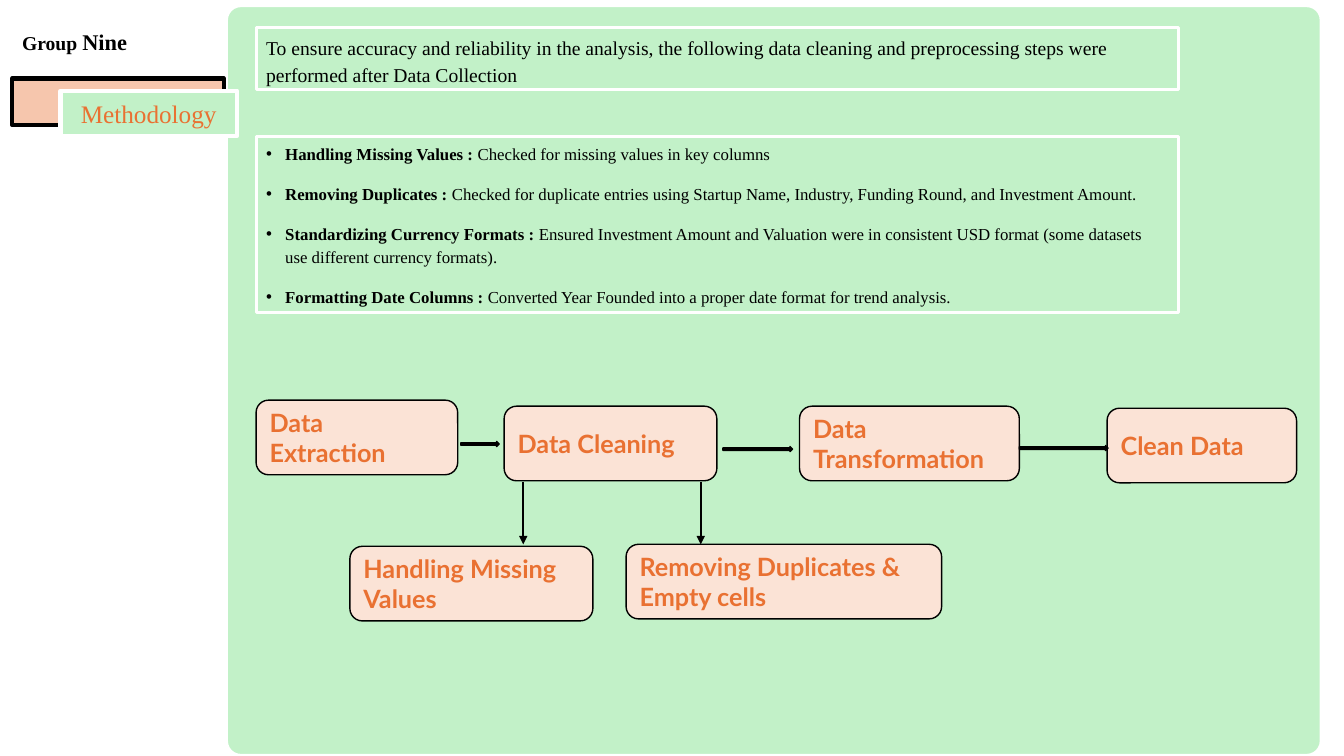
from dataclasses import dataclass
from lxml.etree import SubElement as Sub
from pptx import Presentation
from pptx.dml.color import RGBColor as Rgb
from pptx.enum.shapes import MSO_CONNECTOR as Conn, MSO_SHAPE as Form
from pptx.enum.text import MSO_ANCHOR as Anchor, PP_ALIGN as Align
from pptx.oxml.ns import qn
from pptx.util import Pt

PX = 9144


@dataclass(frozen=True)
class Theme:
    black: str = "000000"
    white: str = "FFFFFF"
    mint: str = "C2F1C8"
    salmon: str = "F6C6AD"
    peach: str = "FBE3D6"
    orange: str = "E97132"
    serif: str = "Times New Roman"
    sans: str = "Lato"
    head: int = 18
    name: int = 16
    lead: int = 14
    body: int = 12


class Deck:
    """Draws styled elements on the current slide."""

    def __init__(self, theme):
        self.theme = theme
        self.prs = Presentation()
        self.prs.slide_width, self.prs.slide_height = 1333 * PX, 750 * PX
        self.slide = self.prs.slides.add_slide(self.prs.slide_layouts[6])

    def shape(self, form, box, fill, line, width):
        item = self.slide.shapes.add_shape(form, *(n * PX for n in box))
        item.shadow.inherit = False
        if fill:
            item.fill.solid()
            item.fill.fore_color.rgb = Rgb.from_string(fill)
        else:
            item.fill.background()
        item.line.color.rgb = Rgb.from_string(line)
        item.line.width = Pt(width)
        return item

    def font(self, run, face, size, color, bold=False):
        run.font.name, run.font.size, run.font.bold = face, Pt(size), bold
        run.font.color.rgb = Rgb.from_string(color)

    def label(self, item, text, face, color, bold, align):
        frame = item.text_frame
        frame.word_wrap = True
        frame.vertical_anchor = Anchor.MIDDLE
        frame.text = text
        for para in frame.paragraphs:
            para.alignment = align
            for run in para.runs:
                self.font(run, face, self.theme.head, color, bold)

    def panel(self, box):
        item = self.shape(Form.ROUNDED_RECTANGLE, box, self.theme.mint, self.theme.white, 3)
        item.adjustments[0] = 0.02

    def title(self, back, front, text):
        t = self.theme
        self.shape(Form.RECTANGLE, back, t.salmon, t.black, 3)
        item = self.shape(Form.RECTANGLE, front, t.mint, t.white, 3)
        self.label(item, text, t.serif, t.orange, False, Align.CENTER)

    def team(self, box, parts):
        frame = self.slide.shapes.add_textbox(*(n * PX for n in box)).text_frame
        frame.word_wrap = True
        for text, size in parts:
            run = frame.paragraphs[0].add_run()
            run.text = text
            self.font(run, self.theme.serif, size, self.theme.black, True)

    def note(self, box, rows, size, marks=False):
        t = self.theme
        frame = self.shape(Form.RECTANGLE, box, None, t.white, 2.25).text_frame
        frame.word_wrap = True
        frame.vertical_anchor = Anchor.TOP
        for i, (key, text) in enumerate(rows):
            para = frame.add_paragraph() if i else frame.paragraphs[0]
            para.alignment = Align.LEFT
            para.line_spacing = 1.15
            para.space_before = Pt(8 if i else 0)
            para.space_after = Pt(4)
            if marks:
                self.mark(para)
            for part, bold in ((key, True), (text, False)):
                if part:
                    run = para.add_run()
                    run.text = part
                    self.font(run, t.serif, size, t.black, bold)

    def mark(self, para):
        props = para._p.get_or_add_pPr()
        props.set("marL", str(19 * PX))
        props.set("indent", str(-19 * PX))
        Sub(props, qn("a:buFont")).set("typeface", "Arial")
        Sub(props, qn("a:buChar")).set("char", "•")

    def step(self, box, text):
        t = self.theme
        item = self.shape(Form.ROUNDED_RECTANGLE, box, t.peach, t.black, 1)
        self.label(item, text, t.sans, t.orange, True, Align.LEFT)

    def arrow(self, box):
        self.shape(Form.RIGHT_ARROW, box, self.theme.black, self.theme.black, 1)

    def drop(self, x, top, end):
        line = self.slide.shapes.add_connector(Conn.STRAIGHT, x * PX, top * PX, x * PX, end * PX)
        line.line.color.rgb = Rgb.from_string(self.theme.black)
        line.line.width = Pt(1.5)
        Sub(line.line._get_or_add_ln(), qn("a:tailEnd")).set("type", "triangle")
        Sub(line._element.spPr, qn("a:effectLst"))


def main():
    theme = Theme()
    deck = Deck(theme)
    deck.panel((224, 5, 1087, 745))
    deck.title((12, 78, 210, 46), (60, 90, 175, 45), "Methodology")
    deck.team((12, 23, 189, 37), [("Group ", theme.lead), ("Nine", theme.name)])
    deck.note((254, 27, 915, 62), [
        ("", "To ensure accuracy and reliability in the analysis, the following data "
             "cleaning and preprocessing steps were performed after Data Collection"),
    ], theme.lead)
    deck.note((254, 135, 915, 175), [
        ("Handling Missing Values : ", "Checked for missing values in key columns"),
        ("Removing Duplicates : ", "Checked for duplicate entries using Startup Name, "
                                   "Industry, Funding Round, and Investment Amount."),
        ("Standardizing Currency Formats : ",
         "Ensured Investment Amount and Valuation were in consistent USD format "
         "(some datasets use different currency formats)."),
        ("Formatting Date Columns : ",
         "Converted Year Founded into a proper date format for trend analysis."),
    ], theme.body, marks=True)
    for x, y, wide, text in (
        (254, 397, 200, "Data Extraction"),
        (500, 403, 211, "Data Cleaning"),
        (793, 403, 218, "Data Transformation"),
        (1098, 405, 188, "Clean Data"),
        (347, 542, 241, "Handling Missing Values"),
        (621, 540, 313, "Removing Duplicates &\nEmpty cells"),
    ):
        deck.step((x, y, wide, 74), text)
    for x in (519, 695):
        deck.drop(x, 478, 540)
    for x, y, wide in ((457, 438, 38), (717, 443, 69), (1011, 442, 88)):
        deck.arrow((x, y, wide, 5))
    deck.prs.save("out.pptx")


if __name__ == "__main__":
    main()
